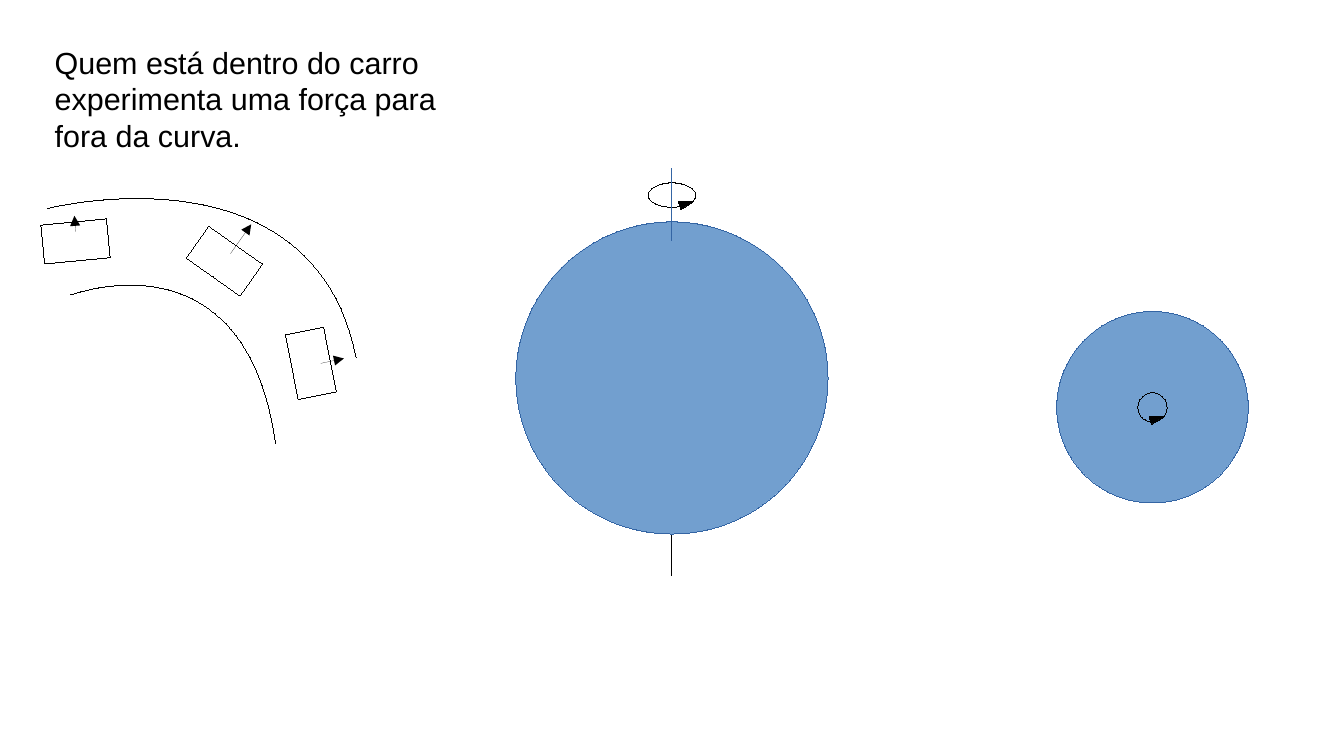
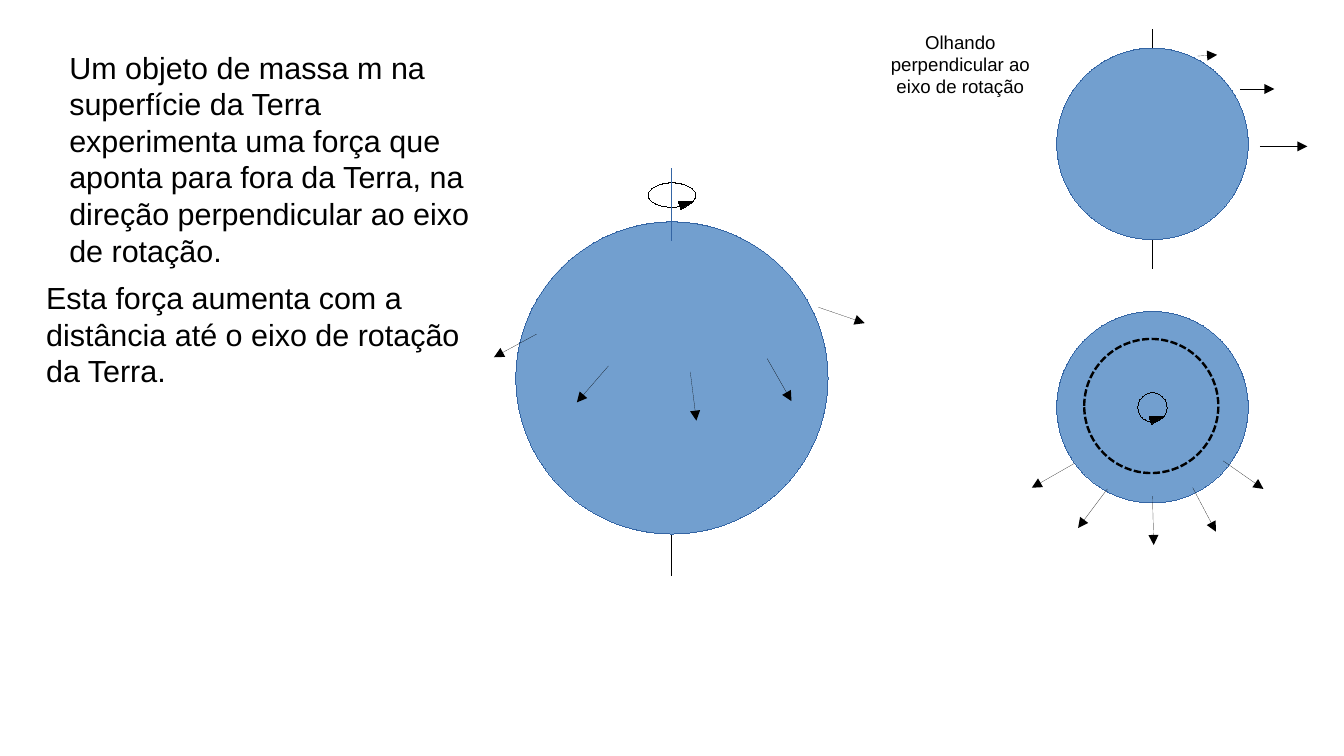
import lxml.etree
import pptx
import pptx.dml.color
import pptx.enum.dml
import pptx.enum.shapes
import pptx.enum.text
import pptx.oxml.ns
import pptx.util

Inches = pptx.util.Inches
Pt = pptx.util.Pt
PRESET = pptx.enum.shapes.MSO_SHAPE
ALIGN = pptx.enum.text.PP_ALIGN

COLORS = {"ink": "000000", "globe": "729FCF", "edge": "3465A4"}
FONT = "Arial"
HAIRLINE = 0.01
GLOBE_CENTER = (5.51, 3.1)
GLOBE_SIZE = 2.56
SMALL_SIZE = 1.57
SIDE_CENTER = (9.45, 1.18)
POLE_CENTER = (9.45, 3.34)
AXIS_TOP = (5.51, 1.38)

ROAD_EDGES = [
    [(2.92, 2.93), (2.57, 1.16), (0.39, 1.71), (0.39, 1.71)],
    [(2.26, 3.64), (2.02, 1.87), (0.58, 2.42), (0.58, 2.42)],
]
CARS = [
    ((2.55, 2.98), 78.8, (2.63, 2.98), (2.82, 2.94)),
    ((1.84, 2.14), 35.2, (1.89, 2.08), (2.06, 1.84)),
    ((0.62, 1.98), 354.5, (0.62, 1.9), (0.61, 1.77)),
]
FORCES = [
    ((4.4, 2.74), (4.05, 2.93)),
    ((4.99, 3), (4.73, 3.3)),
    ((5.66, 3.05), (5.71, 3.45)),
    ((6.29, 2.94), (6.49, 3.29)),
    ((6.71, 2.52), (7.09, 2.65)),
    ((8.81, 3.8), (8.46, 4)),
    ((9.08, 4.01), (8.84, 4.33)),
    ((9.45, 4.07), (9.46, 4.47)),
    ((9.78, 4), (9.97, 4.36)),
    ((10.03, 3.78), (10.36, 4.01)),
    ((10.33, 1.2), (10.72, 1.2)),
    ((10.17, 0.73), (10.45, 0.73)),
    ((9.82, 0.46), (9.98, 0.45)),
]


def rgb(name):
    return pptx.dml.color.RGBColor.from_string(COLORS[name])


def set_line(item, color="ink", width=HAIRLINE):
    item.line.color.rgb = rgb(color)
    item.line.width = Pt(width)


def style_shape(shape, fill=None, line="ink", width=HAIRLINE):
    shape.shadow.inherit = False
    if fill:
        shape.fill.solid()
        shape.fill.fore_color.rgb = rgb(fill)
    else:
        shape.fill.background()
    set_line(shape, line, width)


def add_preset(shapes, preset, center, size, rotation=0, **style):
    x, y = center
    width, height = size
    shape = shapes.add_shape(preset, Inches(x - width / 2), Inches(y - height / 2),
                             Inches(width), Inches(height))
    shape.rotation = rotation
    style_shape(shape, **style)
    return shape


def add_line(shapes, start, end, color="ink", arrow=False):
    line = shapes.add_connector(pptx.enum.shapes.MSO_CONNECTOR.STRAIGHT,
                                *(Inches(value) for value in (*start, *end)))
    set_line(line, color)
    properties = line._element.spPr
    qn = pptx.oxml.ns.qn
    if arrow:
        lxml.etree.SubElement(properties.find(qn("a:ln")), qn("a:tailEnd"), type="triangle")
    lxml.etree.SubElement(properties, qn("a:effectLst"))


def add_curve(shapes, controls, steps=48):
    points = []
    for step in range(steps + 1):
        t = step / steps
        weights = ((1 - t) ** 3, 3 * t * (1 - t) ** 2, 3 * t ** 2 * (1 - t), t ** 3)
        points.append(tuple(
            Inches(sum(weight * point[axis] for weight, point in zip(weights, controls)))
            for axis in (0, 1)))
    builder = shapes.build_freeform(*points[0])
    builder.add_line_segments(points[1:], close=False)
    style_shape(builder.convert_to_shape())


def add_text(page, text, left, top, width, height, size=18, align=ALIGN.LEFT, wrap=True):
    box = page.shapes.add_textbox(Inches(left), Inches(top), Inches(width), Inches(height))
    frame = box.text_frame
    frame.word_wrap = wrap
    if not wrap:
        frame.auto_size = pptx.enum.text.MSO_AUTO_SIZE.SHAPE_TO_FIT_TEXT
    frame.text = text
    for para in frame.paragraphs:
        para.alignment = align
        for span in para.runs:
            span.font.name = FONT
            span.font.size = Pt(size)
            span.font.color.rgb = rgb("ink")


def add_globe(page, center, size):
    add_preset(page.shapes, PRESET.OVAL, center, (size, size), fill="globe", line="edge")


def add_spin(page, center, size, tip):
    group = page.shapes.add_group_shape()
    add_preset(group.shapes, PRESET.OVAL, center, size)
    add_preset(group.shapes, PRESET.ISOSCELES_TRIANGLE, tip, (0.07, 0.12), 73.7, fill="ink")


def add_car(page, center, rotation, start, end):
    group = page.shapes.add_group_shape()
    add_preset(group.shapes, PRESET.RECTANGLE, center, (0.54, 0.32), rotation)
    add_line(group.shapes, start, end, arrow=True)


def add_earth_views(page):
    add_globe(page, POLE_CENTER, SMALL_SIZE)
    add_spin(page, POLE_CENTER, (0.24, 0.24), (9.49, 3.43))
    add_line(page.shapes, AXIS_TOP, (5.51, 4.72))
    add_globe(page, GLOBE_CENTER, GLOBE_SIZE)
    add_spin(page, (5.51, 1.6), (0.39, 0.2), (5.63, 1.67))
    add_line(page.shapes, AXIS_TOP, (5.51, 1.97), color="edge")


def build_curve_page(page):
    add_earth_views(page)
    for controls in ROAD_EDGES:
        add_curve(page.shapes, controls)
    for car in CARS:
        add_car(page, *car)
    add_text(page, "Quem está dentro do carro\nexperimenta uma força para\nfora da curva.",
             0.35, 0.31, 3.34, 0.94, wrap=False)


def build_earth_page(page):
    add_earth_views(page)
    ring = add_preset(page.shapes, PRESET.OVAL, (9.44, 3.33), (1.1, 1.1), width=1.42)
    ring.line.dash_style = pptx.enum.dml.MSO_LINE.SQUARE_DOT
    add_line(page.shapes, (9.45, 0.24), (9.45, 2.2))
    add_globe(page, SIDE_CENTER, SMALL_SIZE)
    for start, end in FORCES:
        add_line(page.shapes, start, end, arrow=True)
    add_text(page, "Olhando perpendicular ao eixo de rotação", 7.09, 0.2, 1.57, 0.61,
             size=11, align=ALIGN.CENTER)
    add_text(page, "Um objeto de massa m na superfície da Terra experimenta uma força que "
             "aponta para fora da Terra, na direção perpendicular ao eixo de rotação.",
             0.47, 0.35, 3.66, 1.61)
    add_text(page, "Esta força aumenta com a distância até o eixo de rotação da Terra.",
             0.28, 2.24, 3.66, 1.61)


def main():
    deck = pptx.Presentation()
    deck.slide_width = Inches(11.02)
    deck.slide_height = Inches(6.2)
    for build_page in (build_curve_page, build_earth_page):
        build_page(deck.slides.add_slide(deck.slide_layouts[6]))
    deck.save("out.pptx")


if __name__ == "__main__":
    main()
